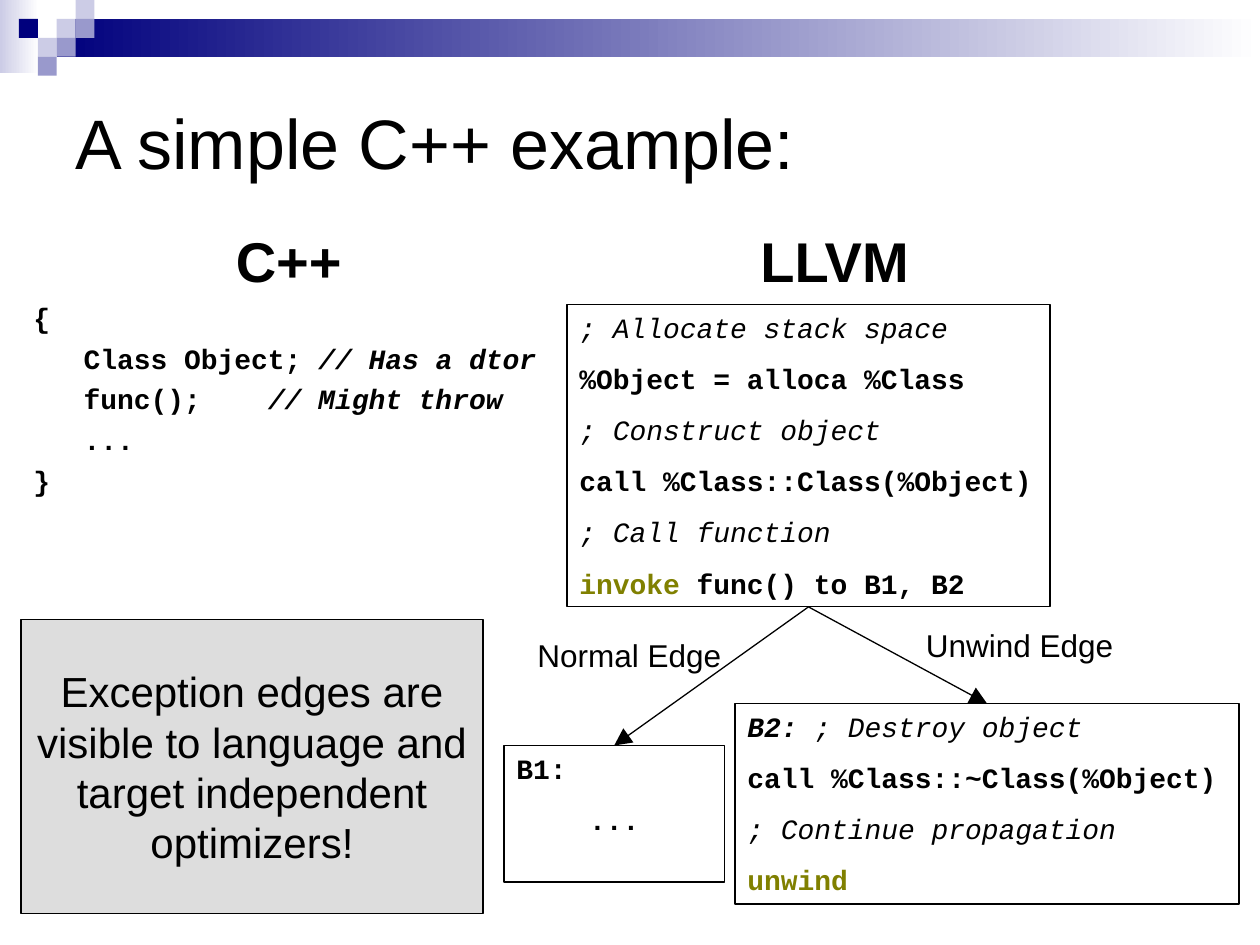
from lxml import etree
from pptx import Presentation
from pptx import util as u
from pptx.dml.color import RGBColor
from pptx.enum import shapes, text
from pptx.oxml.ns import qn

THEME = {
    "ink": "000000", "keyword": "808000", "panel": "DDDDDD", "paper": "FFFFFF",
    "navy": "00007D", "violet": "9999CC", "lavender": "CCCCE6",
    "sans": "Arial", "mono": "Courier New",
    "title": 40, "heading": 32, "callout": 24, "label": 18, "code": 16,
}
CELL = u.Inches(1) / 12  # grid of 120 columns by 90 rows
TILE = 1.8               # header tile, in grid cells

deck = Presentation()
deck.slide_width, deck.slide_height = u.Inches(10), u.Inches(7.5)
page = deck.slides.add_slide(deck.slide_layouts[6])


def add_box(place, fill=None, line=None):
    """Rectangle at (column, row, columns, rows)."""
    box = page.shapes.add_shape(shapes.MSO_SHAPE.RECTANGLE, *(round(n * CELL) for n in place))
    box.shadow.inherit = False
    if isinstance(fill, tuple):
        box.fill.gradient()
        box.fill.gradient_angle = 0
        for stop, name in zip(box.fill.gradient_stops, fill):
            stop.color.rgb = RGBColor.from_string(THEME[name])
    elif fill:
        box.fill.solid()
        box.fill.fore_color.rgb = RGBColor.from_string(THEME[fill])
    else:
        box.fill.background()
    if line:
        box.line.width = u.Pt(line)
        box.line.color.rgb = RGBColor.from_string(THEME["ink"])
    else:
        box.line.fill.background()
    return box


def write(box, lines, face="sans", size="code", before=0, align="LEFT", hanging=0, **frame):
    """Append lines of (words, flags): b bold, i italic, k keyword, c centred."""
    settings = {"word_wrap": True, "vertical_anchor": text.MSO_ANCHOR.TOP, **frame}
    for name, value in settings.items():
        setattr(box.text_frame, name, value)
    for line in lines:
        para = box.text_frame.paragraphs[0]
        if para.runs:
            para = box.text_frame.add_paragraph()
        centred = "c" in line[0][1]
        para.alignment = text.PP_ALIGN.CENTER if centred else text.PP_ALIGN[align]
        para.space_before = u.Pt(before)
        if hanging:
            para._p.get_or_add_pPr().set("marL", str(u.Inches(hanging)))
            para._p.get_or_add_pPr().set("indent", str(-u.Inches(hanging)))
        for words, flags in line:
            span = para.add_run()
            span.text = words
            look = {"name": THEME[face], "size": u.Pt(THEME[size]),
                    "bold": "b" in flags, "italic": "i" in flags}
            for name, value in look.items():
                setattr(span.font, name, value)
            span.font.color.rgb = RGBColor.from_string(THEME["keyword" if "k" in flags else "ink"])


# Header band: gradients, then tiles by column and row
add_box((0, 0, 3.7, 7), ("lavender", "paper"))
add_box((3 * TILE, TILE, 120 - 3 * TILE, 2 * TILE), ("navy", "paper"))
for column, row, colour in [(3, 1, "lavender"), (4, 0, "lavender"), (4, 1, "violet"),
                            (2, 2, "lavender"), (1, 1, "navy"), (3, 2, "violet"),
                            (2, 3, "violet")]:
    add_box((column * TILE, row * TILE, TILE, TILE), colour)

# LLVM blocks
blocks = {}
for name, place, lines in [
    ("entry", (54, 29, 46, 28.8), [
        [("; Allocate stack space", "i")],
        [("%Object = alloca %Class", "b")],
        [("; Construct object", "i")],
        [("call %Class::Class(%Object)", "b")],
        [("; Call function", "i")],
        [("invoke", "bk"), (" func() to B1, B2", "b")]]),
    ("B1", (48, 71, 21, 13), [[("B1:", "b")], [("...", "bc")]]),
    ("B2", (70, 67, 48, 19.1), [
        [("B2:", "bi"), (" ; Destroy object", "i")],
        [("call %Class::~Class(%Object)", "b")],
        [("; Continue propagation", "i")],
        [("unwind", "bk")]]),
]:
    blocks[name] = add_box(place, line=0.75)
    write(blocks[name], lines, face="mono", before=10)

# Edges from the entry block to its successors
for target in ("B1", "B2"):
    edge = page.shapes.add_connector(shapes.MSO_CONNECTOR.STRAIGHT, 0, 0, 0, 0)
    edge.begin_connect(blocks["entry"], 2)
    edge.end_connect(blocks[target], 0)
    edge.line.width = u.Pt(0.75)
    edge.line.color.rgb = RGBColor.from_string(THEME["ink"])
    etree.SubElement(edge.line._get_or_add_ln(), qn("a:tailEnd"),
                     type="triangle", w="lg", len="lg")
    etree.SubElement(edge._element.spPr, qn("a:effectLst"))

# Title, headings and edge labels
middle = {"vertical_anchor": text.MSO_ANCHOR.MIDDLE}
heading = {"size": "heading", "align": "CENTER", "before": 8, "hanging": 0.38}
label = {"size": "label", "word_wrap": False, "auto_size": text.MSO_AUTO_SIZE.SHAPE_TO_FIT_TEXT}
boxes = {}
for place, words, flags, style in [
    ((6, 6, 108, 15), "A simple C++ example:", "", {"size": "title", **middle}),
    ((2, 21, 51, 60), "C++", "b", heading),
    ((53, 21, 53, 8), "LLVM", "b", heading),
    ((87, 59, 20.5, 4.8), "Unwind Edge", "", label),
    ((50, 60, 20, 4.8), "Normal Edge", "", label),
]:
    boxes[words] = page.shapes.add_textbox(*(round(n * CELL) for n in place))
    write(boxes[words], [[(words, flags)]], **style)

# C++ source under its heading
write(boxes["C++"], [
    [("{", "b")],
    [("   Class Object; ", "b"), ("// Has a dtor", "bi")],
    [("   func();    ", "b"), ("// Might throw", "bi")],
    [("   ...", "b")],
    [("}", "b")],
], face="mono", before=4, hanging=0.38)

# Callout
callout = add_box((2, 59, 44, 28), "panel", 1)
write(callout, [[("Exception edges are visible to language and target independent optimizers!", "")]],
      size="callout", align="CENTER", margin_left=0, margin_right=0,
      margin_top=0, margin_bottom=0, **middle)

deck.save("out.pptx")
